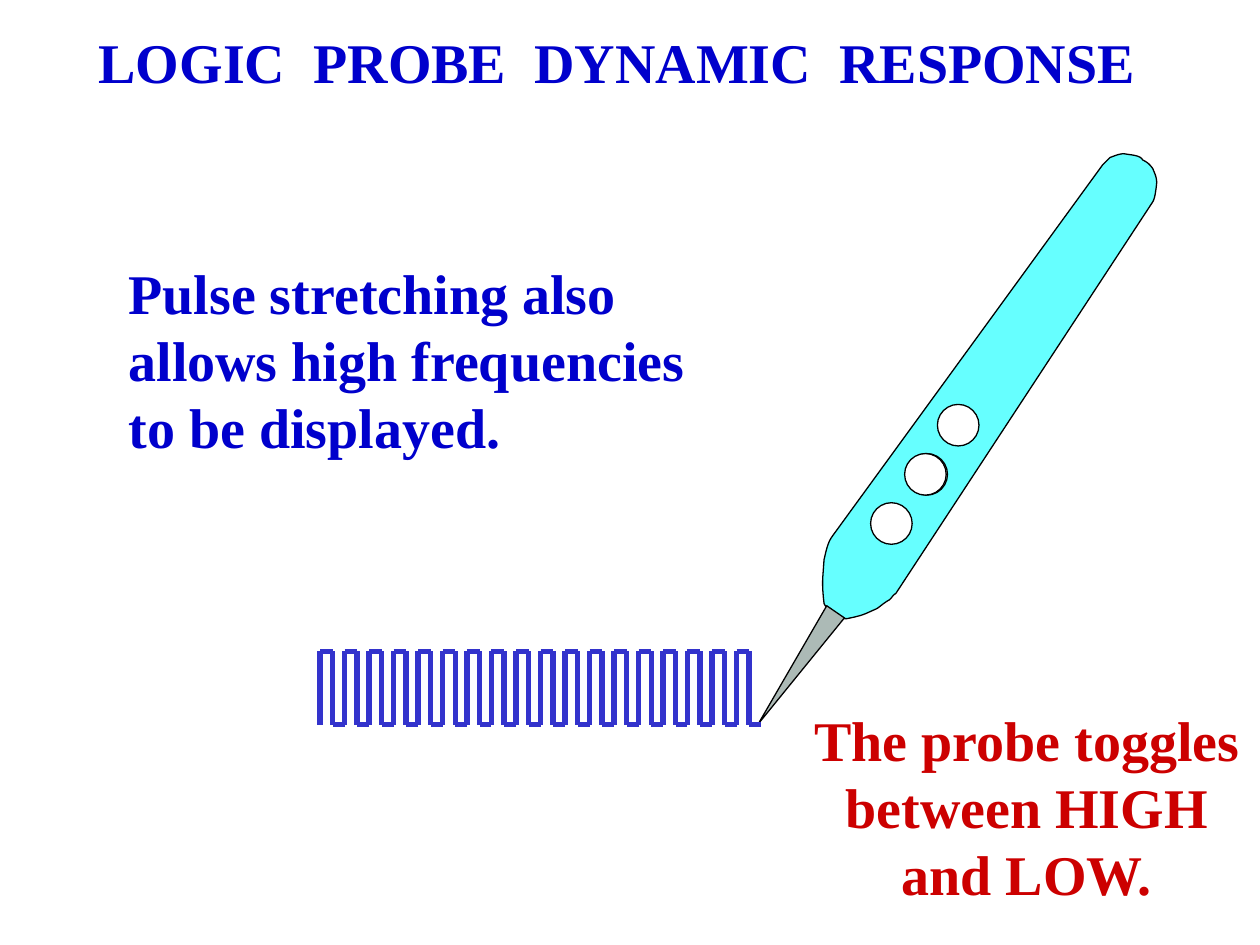
from lxml import etree
from pptx import Presentation
from pptx.dml.color import RGBColor
from pptx.enum import shapes, text
from pptx.oxml import ns
from pptx.util import Inches, Pt

COLORS = {"blue": "0000CC", "red": "CC0000", "wave": "3333CC", "cyan": "66FFFF",
          "grey": "ACBAB6", "white": "FFFFFF", "black": "000000"}
FONT = "Times New Roman"
KIND = shapes.MSO_SHAPE

# Probe handle: a start point, then curves (three points) and lines (one point)
START = (6.61, 4.25)
EDGE = [
    [(6.57, 4.3), (6.56, 4.36), (6.54, 4.44)],
    [(6.53, 4.6), (6.52, 4.62), (6.54, 4.79)],
    [(6.55, 4.82), (6.64, 4.9), (6.64, 4.9)],
    [(6.66, 4.91), (6.72, 4.91), (6.72, 4.91)],
    [(6.77, 4.9), (6.82, 4.89), (6.87, 4.87)],
    [(6.96, 4.83)],
    [(6.99, 4.81), (7.02, 4.78), (7.06, 4.76)],
    [(7.08, 4.74), (7.09, 4.72), (7.11, 4.71)],
    [(9.15, 1.6)],
    [(9.17, 1.57), (9.18, 1.45), (9.18, 1.45)],
    [(9.18, 1.4), (9.16, 1.37), (9.15, 1.34)],
    [(9.13, 1.31), (9.11, 1.29), (9.07, 1.27)],
    [(9.05, 1.23), (8.97, 1.23), (8.92, 1.22)],
    [(8.88, 1.22), (8.84, 1.24), (8.81, 1.25)],
    [(8.75, 1.31)],
]


def color(name):
    return RGBColor.from_string(COLORS[name])


def write(frame, lines, hue="blue", align=text.PP_ALIGN.LEFT, wrap=False):
    """Fill a text frame, one paragraph per line."""
    frame.text = "\n".join(lines)
    frame.word_wrap = wrap
    frame.auto_size = text.MSO_AUTO_SIZE.SHAPE_TO_FIT_TEXT
    frame.vertical_anchor = text.MSO_ANCHOR.TOP
    for para in frame.paragraphs:
        props = para._p.get_or_add_pPr()
        props.set("marL", "0")
        props.set("indent", "0")
        etree.SubElement(props, ns.qn("a:buNone"))
        para.alignment = align
        para.space_before = Pt(0)
        font = para.runs[0].font
        font.name, font.size, font.bold = FONT, Pt(32), True
        font.color.rgb = color(hue)


def trace(start, edge, steps=8):
    """Turn cubic curves and lines into a list of points."""
    points = [start]
    for part in edge:
        if len(part) == 1:
            points += part
            continue
        ends = [points[-1], *part]
        for step in range(1, steps + 1):
            t = step / steps
            mix = ((1 - t) ** 3, 3 * t * (1 - t) ** 2, 3 * t * t * (1 - t), t ** 3)
            points.append(tuple(sum(m * p[axis] for m, p in zip(mix, ends))
                                for axis in (0, 1)))
    return points


class Board:
    def __init__(self, slide):
        self.slide = slide

    def place(self, item, box):
        item.left, item.top, item.width, item.height = map(Inches, box)
        return item

    def holder(self, index, box, lines, **style):
        item = self.place(self.slide.placeholders[index], box)
        write(item.text_frame, lines, **style)

    def label(self, box, lines, **style):
        item = self.slide.shapes.add_textbox(*map(Inches, box))
        write(item.text_frame, lines, **style)

    def group(self):
        return self.slide.shapes.add_group_shape().shapes

    def paint(self, item, hue):
        item.shadow.inherit = False
        item.fill.solid()
        item.fill.fore_color.rgb = color(hue)
        item.line.color.rgb = color("black")
        item.line.width = Pt(0.75)

    def shape(self, into, kind, box, hue, turn=0):
        item = into.add_shape(kind, *map(Inches, box))
        item.rotation = turn
        self.paint(item, hue)

    def outline(self, into, points, hue):
        first, *rest = [(Inches(x), Inches(y)) for x, y in points]
        form = into.build_freeform(*first)
        form.add_line_segments(rest, close=True)
        self.paint(form.convert_to_shape(), hue)

    def line(self, into, start, end):
        item = into.add_connector(shapes.MSO_CONNECTOR.STRAIGHT,
                                  *map(Inches, (*start, *end)))
        item.line.color.rgb = color("wave")
        item.line.width = Pt(3)
        etree.SubElement(item._element.spPr, ns.qn("a:effectLst"))


def main():
    deck = Presentation()
    deck.slide_width, deck.slide_height = Inches(10), Inches(7.5)
    board = Board(deck.slides.add_slide(deck.slide_layouts[1]))
    center = text.PP_ALIGN.CENTER

    # Title and statement
    board.holder(0, (0.63, 0.17, 8.54, 0.64),
                 ["LOGIC  PROBE  DYNAMIC  RESPONSE"], align=center)
    board.holder(1, (0.92, 2, 5.08, 1.7),
                 ["Pulse stretching also allows high frequencies to be displayed."],
                 wrap=True)

    # Probe: handle, tip and lamps
    probe = board.group()
    board.outline(probe, trace(START, EDGE), "cyan")
    board.shape(probe, KIND.ISOSCELES_TRIANGLE, (6.24, 4.76, 0.17, 1.08), "grey", 214.6)
    for left, top in ((7.44, 3.21), (7.19, 3.6), (7.18, 3.6), (6.91, 3.99)):
        board.shape(probe, KIND.OVAL, (left, top, 0.33, 0.33), "white")

    # Pulse train: up, across, down, across
    wave = board.group()
    low, high, count, first, last = 5.75, 5.17, 18, 2.54, 6.04
    pitch = (last - first) / count
    for pulse in range(count):
        left = first + pulse * pitch
        mid, right = left + 0.1, left + pitch
        corners = [(left, low), (left, high), (mid, high), (mid, low), (right, low)]
        for start, end in zip(corners, corners[1:]):
            board.line(wave, start, end)

    # Result
    board.label((6.36, 5.55, 3.58, 1.7),
                ["The probe toggles", "between HIGH", "and LOW."],
                hue="red", align=center)

    deck.save("out.pptx")


if __name__ == "__main__":
    main()
